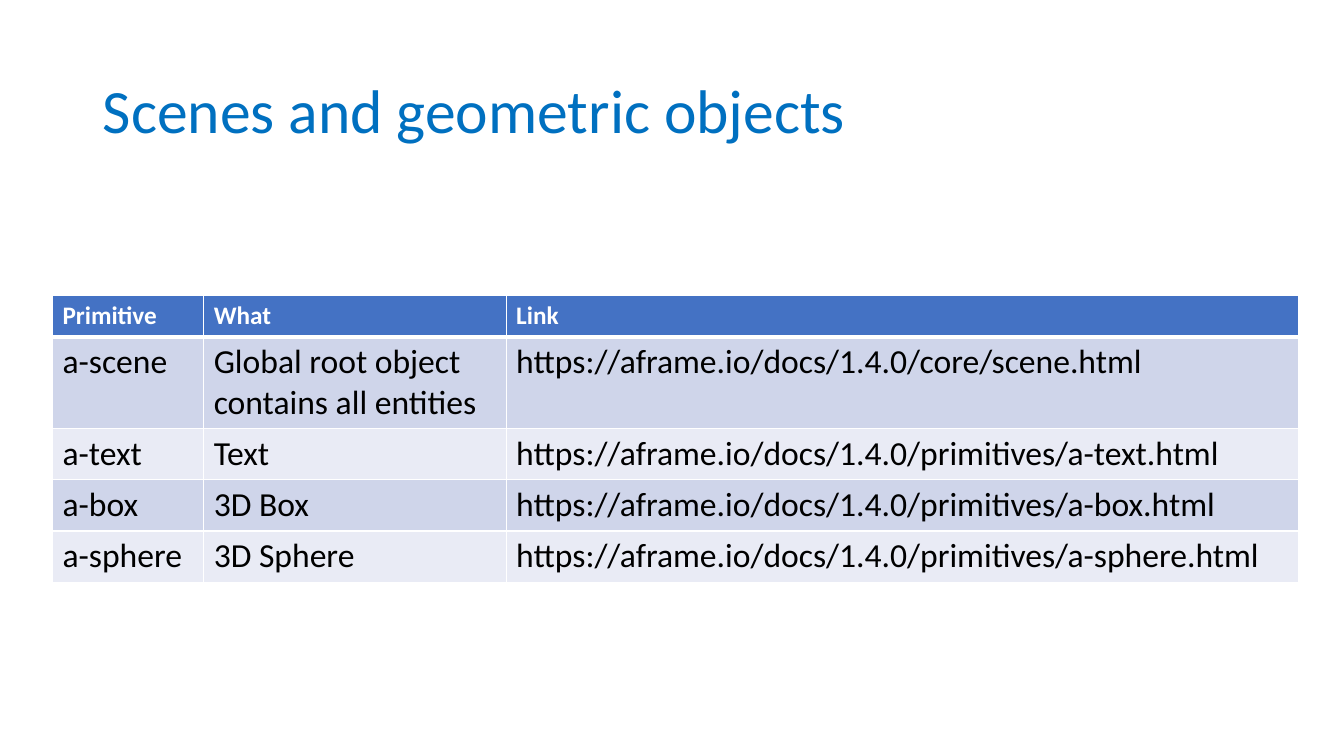
from lxml import etree
from pptx import Presentation
from pptx import util as u
from pptx.dml.color import RGBColor
from pptx.enum import text
from pptx.oxml import ns

COLORS = {
    "title": "0070C0",
    "header": "4472C4",
    "odd_row": "CFD5EA",
    "even_row": "E9EBF5",
    "body_text": "000000",
    "white": "FFFFFF",
}
FONT = "Calibri"


def add_run(paragraph, wording, size, color, bold=False):
    run = paragraph.add_run()
    run.text = wording
    run.font.name = FONT
    run.font.size = u.Pt(size)
    run.font.bold = bold
    run.font.color.rgb = RGBColor.from_string(COLORS[color])


def add_border(cell, side, width):
    properties = cell._tc.get_or_add_tcPr()
    line = etree.SubElement(properties, ns.qn(f"a:ln{side}"), w=str(u.Pt(width)))
    fill = etree.SubElement(line, ns.qn("a:solidFill"))
    etree.SubElement(fill, ns.qn("a:srgbClr"), val=COLORS["white"])


presentation = Presentation()
presentation.slide_width = u.Inches(13.33)
presentation.slide_height = u.Inches(7.5)
slide = presentation.slides.add_slide(presentation.slide_layouts[5])

# Title
title = slide.shapes.title
title.left, title.top = u.Inches(0.92), u.Inches(0.4)
title.width, title.height = u.Inches(11.5), u.Inches(1.45)
title.text_frame.vertical_anchor = text.MSO_ANCHOR.MIDDLE
title.text_frame.auto_size = text.MSO_AUTO_SIZE.NONE
paragraph = title.text_frame.paragraphs[0]
paragraph.alignment = text.PP_ALIGN.LEFT
paragraph.line_spacing = 0.9
add_run(paragraph, "Scenes and geometric objects", 44, "title")

# Table of primitives
docs = "https://aframe.io/docs/1.4.0"
rows = [
    ("Primitive", "What", "Link"),
    ("a-scene", "Global root object contains all entities", f"{docs}/core/scene.html"),
    ("a-text", "Text", f"{docs}/primitives/a-text.html"),
    ("a-box", "3D Box", f"{docs}/primitives/a-box.html"),
    ("a-sphere", "3D Sphere", f"{docs}/primitives/a-sphere.html"),
]
column_widths = [1.5, 3, 7.86]
row_height = 0.41

table = slide.shapes.add_table(
    len(rows), len(column_widths), u.Inches(0.52), u.Inches(2.93),
    u.Inches(sum(column_widths)), u.Inches(row_height * len(rows)),
).table
for column, width in zip(table.columns, column_widths):
    column.width = u.Inches(width)

for row_index, row in enumerate(rows):
    table.rows[row_index].height = u.Inches(row_height)
    is_header = row_index == 0
    if is_header:
        fill_color = "header"
    else:
        fill_color = "odd_row" if row_index % 2 else "even_row"

    for column_index, wording in enumerate(row):
        cell = table.cell(row_index, column_index)
        # The line below the header is thicker than the others
        top_width = 3 if row_index == 1 else 1
        bottom_width = 3 if is_header else 1
        for side, width in (("L", 1), ("R", 1), ("T", top_width), ("B", bottom_width)):
            add_border(cell, side, width)
        cell.fill.solid()
        cell.fill.fore_color.rgb = RGBColor.from_string(COLORS[fill_color])
        paragraph = cell.text_frame.paragraphs[0]
        if is_header:
            add_run(paragraph, wording, 18, "white", bold=True)
        else:
            add_run(paragraph, wording, 24, "body_text")

presentation.save("out.pptx")
